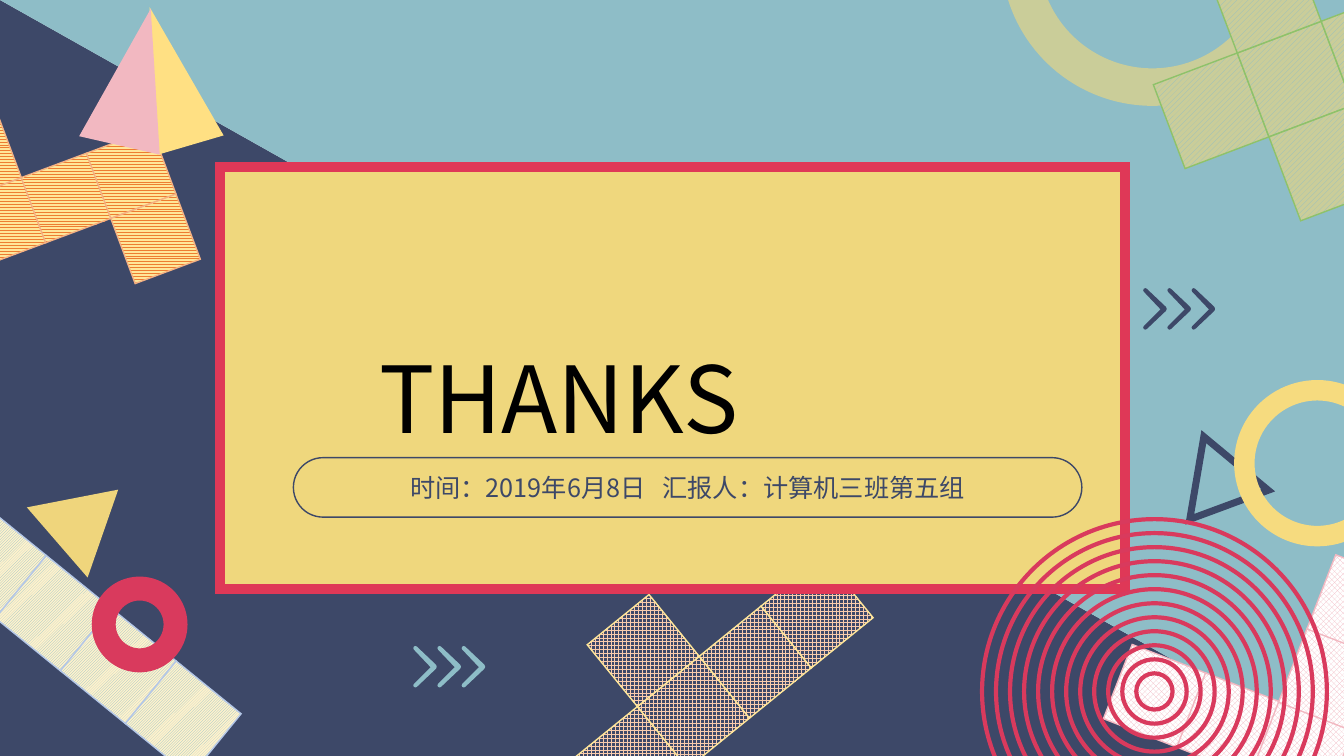
"""Build the closing THANKS slide with its geometric decorations."""
from dataclasses import dataclass
from math import cos, radians, sin

from lxml.etree import SubElement
from pptx import Presentation
from pptx.dml.color import RGBColor
from pptx.enum.dml import MSO_PATTERN
from pptx.enum.shapes import MSO_SHAPE
from pptx.enum.text import MSO_ANCHOR, PP_ALIGN
from pptx.oxml.ns import qn
from pptx.util import Inches, Pt


@dataclass(frozen=True)
class Theme:
    font: str = "Noto Sans CJK SC"
    title_size: int = 66
    caption_size: int = 18
    page: str = "F7F7F7"
    navy: str = "3D4868"
    teal: str = "8EBDC7"
    sand: str = "EFD77D"
    straw: str = "EFD57C"
    yellow: str = "F6DB7F"
    lemon: str = "FFE083"
    pink: str = "F2B8C1"
    red: str = "D93A5D"
    frame: str = "DF3857"
    black: str = "000000"
    white: str = "FFFFFF"
    cream: str = "FFF2CC"
    periwinkle: str = "B4C7E7"
    orange: str = "ED7D31"
    butter: str = "FFE699"
    apricot: str = "F4B183"
    olive: str = "CACD99"
    green: str = "8EC26A"
    peach: str = "F8CBAD"


THEME = Theme()
WIDTH, HEIGHT = 13.33, 7.5

TITLE = ("THANKS", (3.69, 3.34, 6.19, 1.19))
CAPTION = ("时间：2019年6月8日\t汇报人：计算机三班第五组", (2.91, 4.54, 7.82, 0.59))

BACK_SHAPES = [
    dict(kind=MSO_SHAPE.RIGHT_TRIANGLE, box=(0, 0, WIDTH, HEIGHT), fill=THEME.navy),
    dict(kind=MSO_SHAPE.RIGHT_TRIANGLE, box=(0, 0, WIDTH, HEIGHT), fill=THEME.teal, rotation=180),
    dict(kind=MSO_SHAPE.DONUT, box=(9.93, -1.95, 3, 3), fill=THEME.sand, adjust=0.124, opacity=62),
    dict(kind=MSO_SHAPE.ISOSCELES_TRIANGLE, box=(0.41, 4.72, 0.92, 0.8), fill=THEME.straw, rotation=49.1),
    dict(kind=MSO_SHAPE.ISOSCELES_TRIANGLE, box=(11.65, 4.31, 0.83, 0.72), line=(THEME.navy, 5), rotation=339.7),
    dict(kind=MSO_SHAPE.DONUT, box=(12.24, 3.77, 1.65, 1.65), fill=THEME.yellow, adjust=0.123),
]
FRONT_SHAPES = [
    dict(kind=MSO_SHAPE.DONUT, box=(0.91, 5.72, 0.95, 0.95), fill=THEME.red, adjust=0.25),
    dict(kind=MSO_SHAPE.ISOSCELES_TRIANGLE, box=(1.34, 0.04, 0.69, 1.43), fill=THEME.lemon, rotation=343.6),
    dict(kind=MSO_SHAPE.ISOSCELES_TRIANGLE, box=(0.93, 0.07, 0.82, 1.39), fill=THEME.pink, rotation=12.9),
    dict(kind=MSO_SHAPE.RECTANGLE, box=(2.18, 1.66, 8.98, 4.18), fill=THEME.sand, line=(THEME.frame, 7)),
]

CHEVRON = [(0, 0), (0.19, 0.18), (0.19, 0.19), (0, 0.37), (0.18, 0.19)]
CHEVRON_STEP = 0.24
CHEVRON_ROWS = [(4.12, 6.43, THEME.teal), (11.36, 2.88, THEME.navy)]

TILE_NETS = [
    dict(origin=(-0.53, 5.16), size=(0.83, 0.8), step=0.83, rotation=39.1,
         pattern=MSO_PATTERN.DARK_UPWARD_DIAGONAL, colors=(THEME.teal, THEME.cream, THEME.periwinkle),
         cells=[(0, 0), (1, 0), (2, 0), (3, 0)]),
    dict(origin=(0.31, 1.62), size=(0.69, 0.69), step=0.69, rotation=339.5,
         pattern=MSO_PATTERN.ZIG_ZAG, colors=(THEME.orange, THEME.butter, THEME.apricot),
         cells=[(-1, 0), (0, 0), (1, 0), (1, 1), (-1, -1)]),
    dict(origin=(12.4, 0.34), size=(0.89, 0.89), step=0.89, rotation=339.3,
         pattern=MSO_PATTERN.WIDE_UPWARD_DIAGONAL, colors=(THEME.teal, THEME.olive, THEME.green),
         cells=[(-1, 0), (0, 0), (1, 0), (0, -1), (0, 1)]),
    dict(origin=(11.06, 6.51), size=(0.79, 0.79), step=0.78, rotation=291.2,
         pattern=MSO_PATTERN.SOLID_DIAMOND, colors=(THEME.pink, THEME.white, THEME.pink),
         cells=[(0, 0), (0, 1), (0, 2), (1, 2), (2, 2)]),
    dict(origin=(5.87, 7.17), size=(0.79, 0.79), step=0.79, rotation=320.9,
         pattern=MSO_PATTERN.LARGE_GRID, colors=(THEME.peach, THEME.navy, THEME.butter),
         cells=[(0, 0), (1, 0), (2, 0), (3, 0), (1, -1)]),
]

RING_CENTER = (11.45, 6.86)
RING_COUNT, RING_FIRST, RING_LAST = 12, 0.36, 3.42


def rgb(color):
    return RGBColor.from_string(color)


def style(shape, fill=None, line=None, join="miter"):
    shape.shadow.inherit = False
    if fill:
        shape.fill.solid()
        shape.fill.fore_color.rgb = rgb(fill)
    else:
        shape.fill.background()
    if line:
        color, width = line
        shape.line.color.rgb = rgb(color)
        shape.line.width = Pt(width)
        corner = SubElement(shape.line._get_or_add_ln(), qn(f"a:{join}"))
        if join == "miter":
            corner.set("lim", "800000")
    else:
        shape.line.fill.background()


def add_preset(shapes, kind, box, fill=None, line=None, rotation=0, adjust=None, opacity=100):
    shape = shapes.add_shape(kind, *map(Inches, box))
    shape.rotation = rotation
    if adjust is not None:
        shape.adjustments[0] = adjust
    style(shape, fill, line)
    if opacity < 100:
        color = shape.fill._xPr.find(f"{qn('a:solidFill')}/{qn('a:srgbClr')}")
        SubElement(color, qn("a:alpha")).set("val", str(opacity * 1000))
    return shape


def add_chevrons(shapes, left, top, color):
    builder = None
    for index in range(3):
        points = [(Inches(left + index * CHEVRON_STEP + x), Inches(top + y)) for x, y in CHEVRON]
        if builder is None:
            builder = shapes.build_freeform(*points[0])
        else:
            builder.move_to(*points[0])
        builder.add_line_segments(points[1:], close=True)
    style(builder.convert_to_shape(), THEME.teal, (color, 3), "round")


def add_tiles(shapes, origin, size, step, rotation, pattern, colors, cells):
    foreground, background, outline = colors
    angle = radians(rotation)
    across, down = step * cos(angle), step * sin(angle)
    group = shapes.add_group_shape()
    for column, row in cells:
        left = origin[0] + column * across - row * down
        top = origin[1] + column * down + row * across
        tile = add_preset(group.shapes, MSO_SHAPE.RECTANGLE, (left, top, *size),
                          line=(outline, 1), rotation=rotation)
        tile.fill.patterned()
        tile.fill.pattern = pattern
        tile.fill.fore_color.rgb = rgb(foreground)
        tile.fill.back_color.rgb = rgb(background)


def add_rings(shapes):
    group = shapes.add_group_shape()
    for index in range(RING_COUNT):
        size = RING_FIRST + index * (RING_LAST - RING_FIRST) / (RING_COUNT - 1)
        left, top = (center - size / 2 for center in RING_CENTER)
        add_preset(group.shapes, MSO_SHAPE.OVAL, (left, top, size, size), line=(THEME.red, 3))


def write(text_frame, text, size, color, alignment):
    text_frame.word_wrap = True
    text_frame.text = text
    paragraph = text_frame.paragraphs[0]
    paragraph.alignment = alignment
    for run in paragraph.runs:
        run.font.size = Pt(size)
        run.font.name = THEME.font
        run.font.color.rgb = rgb(color)
        SubElement(run.font._element, qn("a:ea")).set("typeface", THEME.font)


def main():
    presentation = Presentation()
    presentation.slide_width, presentation.slide_height = Inches(WIDTH), Inches(HEIGHT)
    slide = presentation.slides.add_slide(presentation.slide_layouts[6])
    slide.background.fill.solid()
    slide.background.fill.fore_color.rgb = rgb(THEME.page)
    shapes = slide.shapes

    for item in BACK_SHAPES:
        add_preset(shapes, **item)
    for left, top, color in CHEVRON_ROWS:
        add_chevrons(shapes, left, top, color)
    for net in TILE_NETS:
        add_tiles(shapes, **net)
    for item in FRONT_SHAPES:
        add_preset(shapes, **item)
    add_rings(shapes)

    text, box = TITLE
    title_frame = shapes.add_textbox(*map(Inches, box)).text_frame
    title_frame.margin_left = title_frame.margin_right = Inches(0.07)
    title_frame.margin_top = title_frame.margin_bottom = Inches(0.04)
    write(title_frame, text, THEME.title_size, THEME.black, PP_ALIGN.JUSTIFY)

    text, box = CAPTION
    pill = add_preset(shapes, MSO_SHAPE.ROUNDED_RECTANGLE, box, line=(THEME.navy, 1), adjust=0.5)
    pill.text_frame.vertical_anchor = MSO_ANCHOR.MIDDLE
    write(pill.text_frame, text, THEME.caption_size, THEME.navy, PP_ALIGN.CENTER)

    presentation.save("out.pptx")


if __name__ == "__main__":
    main()
